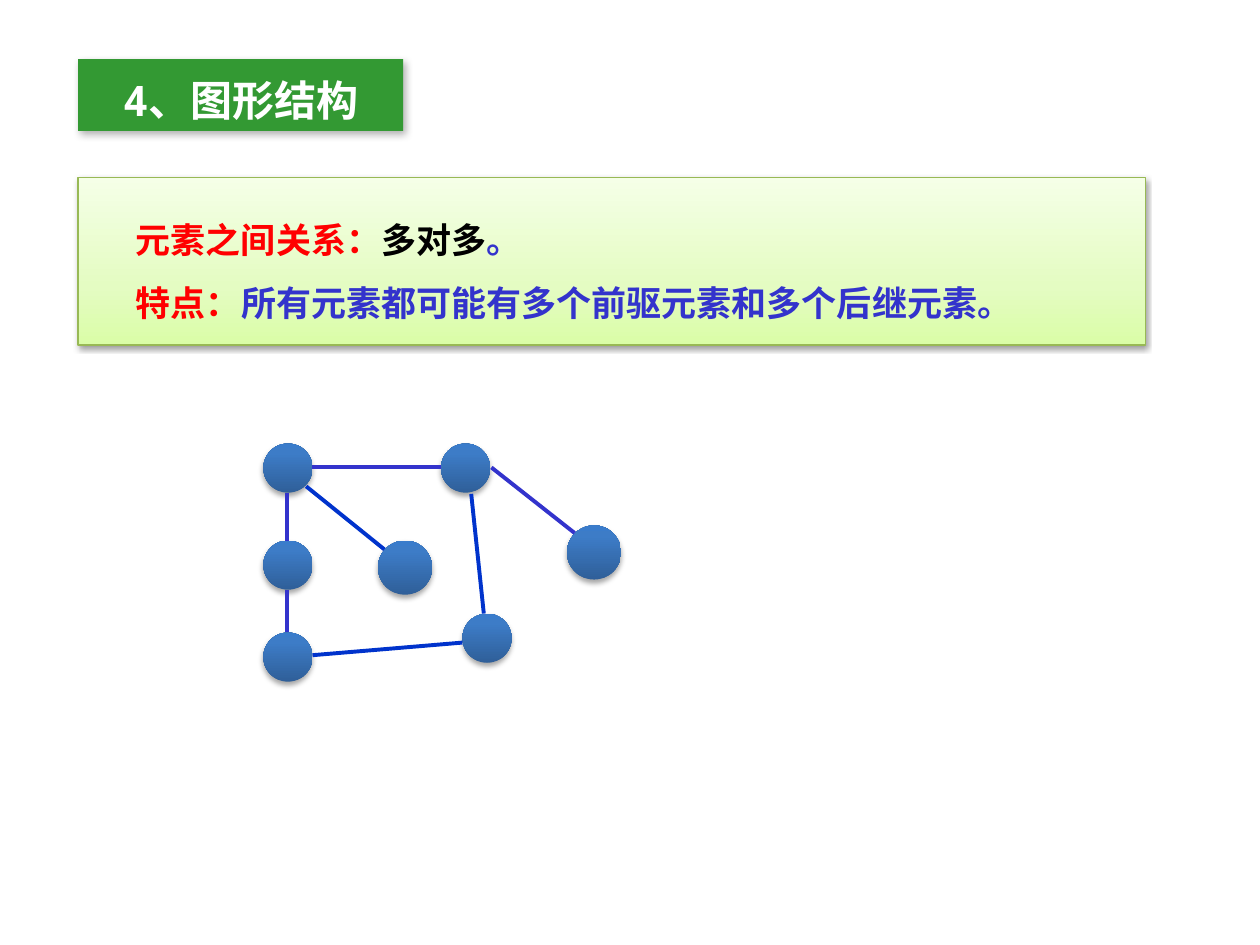
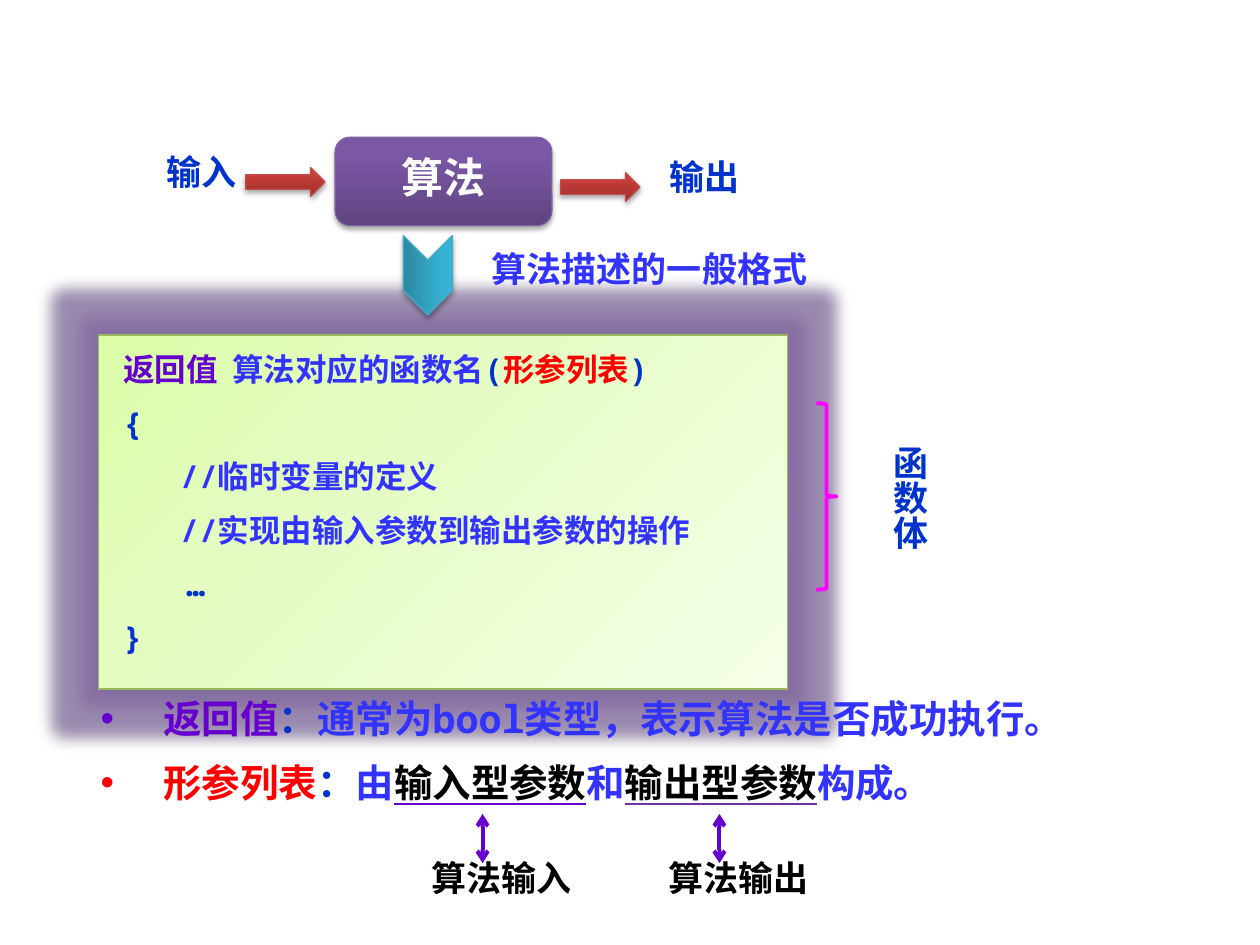
from lxml.etree import SubElement
from pptx import Presentation
from pptx.dml.color import RGBColor
from pptx.enum.shapes import MSO_CONNECTOR as CONNECTOR, MSO_SHAPE as SHAPE
from pptx.enum.text import MSO_ANCHOR as ANCHOR, PP_ALIGN as ALIGN
from pptx.oxml.ns import qn
from pptx.util import Inches, Pt

FONT = "Noto Sans Mono"
BLACK, WHITE, RED, GREEN = "000000", "FFFFFF", "FF0000", "339933"
BLUE, INDIGO, VIOLET, PURPLE = "0033CC", "3333CC", "3333FF", "6600CC"
PLUM, MAGENTA, GLOW = "7030A0", "FF00FF", "8064A2"

# Gradient stops (position, colour) and outlines
LIME = [(0, "DAFDA7"), (35, "E4FCC2"), (100, "F5FFE7")]
LIME_LINE = "98B955"
NODE_BLUE = [(0, "2F5F99"), (80, "3D7CC7"), (100, "3A7CCB")]
BOX_PURPLE = [(0, "5F4480"), (80, "7B58A6"), (100, "7C57A8")]
ARROW_RED = [(0, "9C2F2D"), (80, "CB3E3A"), (100, "CE3B37")]
CHEVRON_TEAL = [(0, "2A88A2"), (80, "37B1D2"), (100, "34B4D6")]

# Shadows: opacity %, blur pt, distance pt, direction in degrees
PANEL_SHADOW = (38, 3.1, 1.6, 90)
SOLID_SHADOW = (35, 3.1, 1.8, 90)
TITLE_SHADOW = (30, 4.5, 2.6, 53)


def rgb(color):
    return RGBColor.from_string(color)


def add_color(parent, color, opacity=100):
    element = SubElement(parent, qn("a:srgbClr"), val=color)
    if opacity < 100:
        SubElement(element, qn("a:alpha"), val=str(opacity * 1000))


def set_gradient(shape, stops, angle):
    shape.fill.gradient()
    shape.fill.gradient_angle = angle
    stop_list = shape._element.spPr.find(qn("a:gradFill")).find(qn("a:gsLst"))
    stop_list.clear()
    for position, color in stops:
        add_color(SubElement(stop_list, qn("a:gs"), pos=str(position * 1000)), color)


def set_effects(shape, shadow=None, glow=None):
    shape.shadow.inherit = False
    effects = shape._element.spPr.find(qn("a:effectLst"))
    if glow:
        add_color(SubElement(effects, qn("a:glow"), rad=str(Pt(18))), glow, 60)
    if shadow:
        opacity, blur, distance, direction = shadow
        outer = SubElement(effects, qn("a:outerShdw"), blurRad=str(Pt(blur)),
                           dist=str(Pt(distance)), dir=str(direction * 60000),
                           rotWithShape="0")
        add_color(outer, BLACK, opacity)


def add_shape(slide, kind, left, top, width, height, fill=None, line=None,
              line_width=0.75, shadow=None, glow=None, angle=90):
    """Fill is a hex colour, a list of gradient stops, or None."""
    shape = slide.shapes.add_shape(kind, Inches(left), Inches(top),
                                   Inches(width), Inches(height))
    if isinstance(fill, list):
        set_gradient(shape, fill, angle)
    elif fill:
        shape.fill.solid()
        shape.fill.fore_color.rgb = rgb(fill)
    else:
        shape.fill.background()
    if line:
        shape.line.color.rgb = rgb(line)
        shape.line.width = Pt(line_width)
    else:
        shape.line.fill.background()
    set_effects(shape, shadow, glow)
    return shape


def add_line(slide, start, end, color, arrows=False):
    points = [Inches(value) for value in (*start, *end)]
    line = slide.shapes.add_connector(CONNECTOR.STRAIGHT, *points)
    line.line.color.rgb = rgb(color)
    line.line.width = Pt(2.25)
    if arrows:
        outline = line.line._get_or_add_ln()
        for end_name in ("a:headEnd", "a:tailEnd"):
            SubElement(outline, qn(end_name), type="arrow")
    SubElement(line._element.spPr, qn("a:effectLst"))


def write(shape, paragraphs, size, align=ALIGN.LEFT, anchor=ANCHOR.TOP,
          margins=(0.1, 0.05), spacing=None, gap=0, indent=None, bullet=None):
    """Each paragraph is a list of (text, colour[, underline colour])."""
    frame = shape.text_frame
    frame.word_wrap = True
    frame.vertical_anchor = anchor
    frame.margin_left = frame.margin_right = Inches(margins[0])
    frame.margin_top = frame.margin_bottom = Inches(margins[1])
    for index, runs in enumerate(paragraphs):
        paragraph = frame.add_paragraph() if index else frame.paragraphs[0]
        paragraph.alignment = align
        if spacing:
            paragraph.line_spacing = spacing
        if index and gap:
            paragraph.space_before = Pt(gap)
        properties = paragraph._p.get_or_add_pPr()
        if indent:
            properties.set("marL", str(Inches(indent[0])))
            properties.set("indent", str(Inches(indent[1])))
        if bullet:
            SubElement(properties, qn("a:buFont"), typeface="Arial")
            SubElement(properties, qn("a:buChar"), char=bullet)
        font = paragraph.font
        font.name, font.size, font.bold = FONT, Pt(size), True
        for text, color, *underline in runs:
            run = paragraph.add_run()
            run.text = text
            run.font.color.rgb = rgb(color)
            if underline:
                run.font.underline = True
                line_fill = SubElement(run._r.get_or_add_rPr(), qn("a:uFill"))
                add_color(SubElement(line_fill, qn("a:solidFill")), underline[0])


def add_text(slide, left, top, width, height):
    return slide.shapes.add_textbox(Inches(left), Inches(top),
                                    Inches(width), Inches(height))


def add_label(slide, text, left, top, width, color, height=0.47):
    box = add_text(slide, left, top, width, height)
    write(box, [[(text, color)]], 20, ALIGN.CENTER, spacing=0.8)
    return box


def add_title(slide, text, left, top):
    title = add_shape(slide, SHAPE.RECTANGLE, left, top, 2.58, 0.57, GREEN,
                      shadow=TITLE_SHADOW)
    write(title, [[(text, WHITE)]], 24, ALIGN.CENTER, margins=(0.1, 0.12))


def add_relation_panel(slide, left, top):
    panel = add_shape(slide, SHAPE.RECTANGLE, left, top, 8.47, 1.33, LIME,
                      LIME_LINE, shadow=PANEL_SHADOW)
    write(panel, [
        [("元素之间关系：", RED), ("多对多", BLACK), ("。", INDIGO)],
        [("特点：", RED), ("所有元素都可能有多个前驱元素和多个后继元素。", INDIGO)],
    ], 20, ALIGN.JUSTIFY, margins=(0.1, 0.16), spacing=1.5, indent=(0, 0.36))


def add_graph(slide, left, top):
    # Nodes: left, top, diameter
    nodes = [(0, 0, 0.39), (1.41, 0, 0.39), (0, 0.77, 0.39), (0.91, 0.77, 0.43),
             (1.58, 1.35, 0.39), (0, 1.5, 0.39), (2.41, 0.65, 0.43)]
    # Edges: start, end, colour
    edges = [((0.34, 0.34), (0.96, 0.84), BLUE), ((0.39, 1.68), (1.58, 1.58), BLUE),
             ((1.65, 0.4), (1.75, 1.35), BLUE), ((0.19, 0.39), (0.19, 0.77), INDIGO),
             ((0.19, 1.16), (0.19, 1.5), INDIGO), ((1.81, 0.19), (2.47, 0.71), INDIGO),
             ((0.39, 0.19), (1.41, 0.19), INDIGO)]
    for x, y, diameter in nodes:
        add_shape(slide, SHAPE.OVAL, left + x, top + y, diameter, diameter,
                  NODE_BLUE, shadow=SOLID_SHADOW)
    for (x1, y1), (x2, y2), color in edges:
        add_line(slide, (left + x1, top + y1), (left + x2, top + y2), color)


def add_code_panel(slide, left, top):
    panel = add_shape(slide, SHAPE.RECTANGLE, left, top, 5.47, 2.81, LIME,
                      LIME_LINE, shadow=PANEL_SHADOW, glow=GLOW, angle=315)
    write(panel, [
        [("返回值  ", PURPLE), ("算法对应的函数名", VIOLET), ("(", BLUE),
         ("形参列表", RED), (")", BLUE)],
        [("{", BLUE)],
        [("   //临时变量的定义", VIOLET)],
        [("   //实现由输入参数到输出参数的操作", VIOLET)],
        [("\t…", BLUE)],
        [("}", BLUE)],
    ], 18, margins=(0.2, 0.12), gap=9)
    # Brace and vertical label for the function body
    add_shape(slide, SHAPE.RIGHT_BRACE, left + 5.7, top + 0.54, 0.16, 1.48,
              line=MAGENTA, line_width=2.25)
    label = add_label(slide, "函数体", left + 6.02, top + 0.78, 0.57, BLUE, 1.09)
    label.text_frame._txBody.bodyPr.set("vert", "eaVert")


def add_parameter_notes(slide, left, top):
    notes = add_text(slide, left, top, 8.05, 1.02)
    write(notes, [
        [("返回值", PURPLE), ("：", BLUE),
         ("通常为bool类型，表示算法是否成功执行。", VIOLET)],
        [("形参列表", RED), ("：", BLUE), ("由", VIOLET),
         ("输入型参数", BLACK, PURPLE), ("和", VIOLET),
         ("输出型参数", BLACK, PLUM), ("构成。", VIOLET)],
    ], 22, spacing=Pt(26), gap=11, indent=(0.5, -0.5), bullet="•")
    for text, x in (("算法输入", 2.5), ("算法输出", 4.38)):
        add_label(slide, text, left + x, top + 1.34, 1.56, BLACK)
        arrow_x = left + x + 0.63
        add_line(slide, (arrow_x, top + 0.99), (arrow_x, top + 1.38), PURPLE, True)


def add_flow(slide, left, top):
    box = add_shape(slide, SHAPE.ROUNDED_RECTANGLE, left + 1.49, top, 1.72, 0.7,
                    BOX_PURPLE, "7D60A0", shadow=SOLID_SHADOW)
    write(box, [[("算法", WHITE)]], 24, ALIGN.CENTER, ANCHOR.MIDDLE, spacing=0.8)
    # Input and output: label, label offset, arrow offset, drop
    for text, label_x, arrow_x, y in (("输入", 0, 0.78, 0.12), ("输出", 3.99, 3.28, 0.16)):
        add_shape(slide, SHAPE.RIGHT_ARROW, left + arrow_x, top + y + 0.12, 0.63, 0.23,
                  ARROW_RED, "BF4C48", shadow=SOLID_SHADOW)
        add_label(slide, text, left + label_x, top + y, 0.86, BLUE)
    # Chevron down to the general format
    chevron = add_shape(slide, SHAPE.CHEVRON, left + 1.91, top + 0.9, 0.63, 0.39,
                        CHEVRON_TEAL, "46AAC5", shadow=SOLID_SHADOW)
    chevron.rotation = 90
    add_label(slide, "算法描述的一般格式", left + 2.5, top + 0.89, 2.97, VIOLET)


def build_graph_slide(slide):
    add_relation_panel(slide, 0.62, 1.41)
    add_graph(slide, 2.09, 3.52)
    add_title(slide, "4、图形结构", 0.62, 0.47)


def build_algorithm_slide(slide):
    add_code_panel(slide, 0.78, 2.66)
    add_parameter_notes(slide, 0.7, 5.47)
    add_flow(slide, 1.17, 1.09)


def main():
    presentation = Presentation()
    presentation.slide_width, presentation.slide_height = Inches(10), Inches(7.5)
    for build in (build_graph_slide, build_algorithm_slide):
        build(presentation.slides.add_slide(presentation.slide_layouts[6]))
    presentation.save("out.pptx")


if __name__ == "__main__":
    main()
